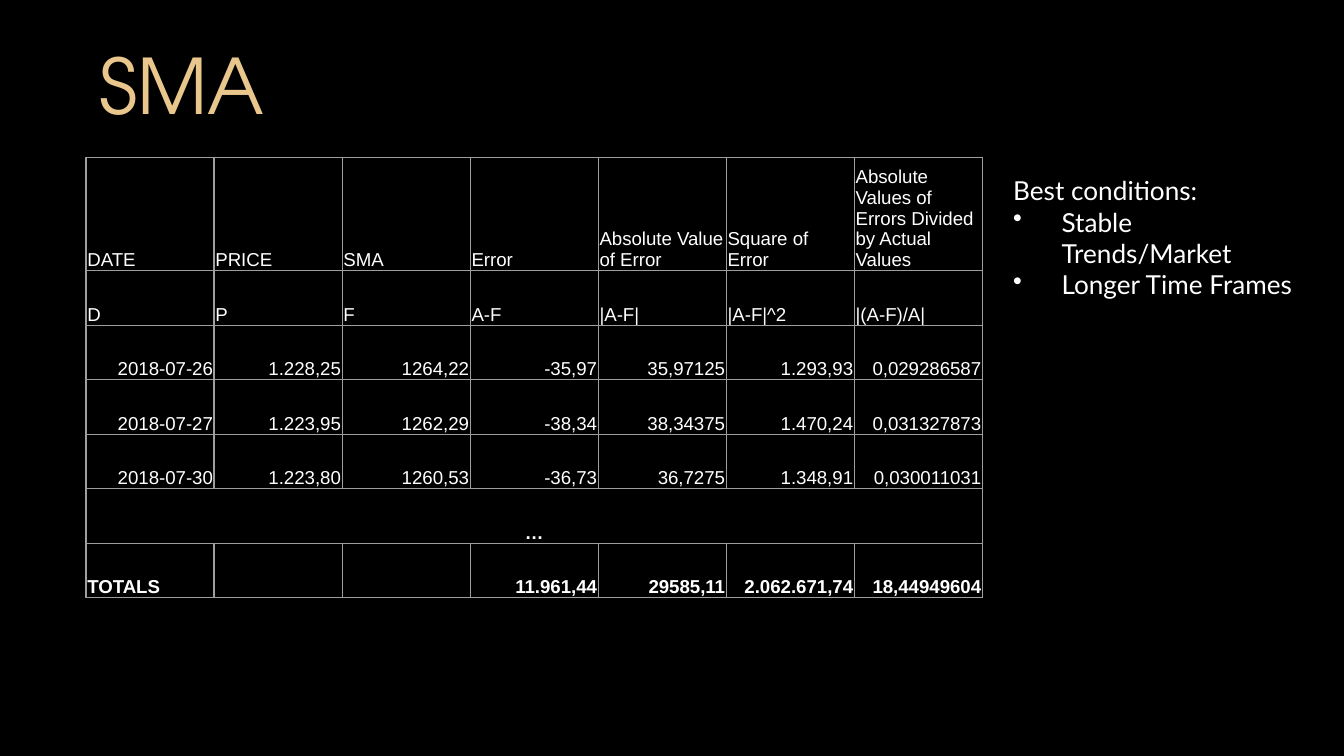
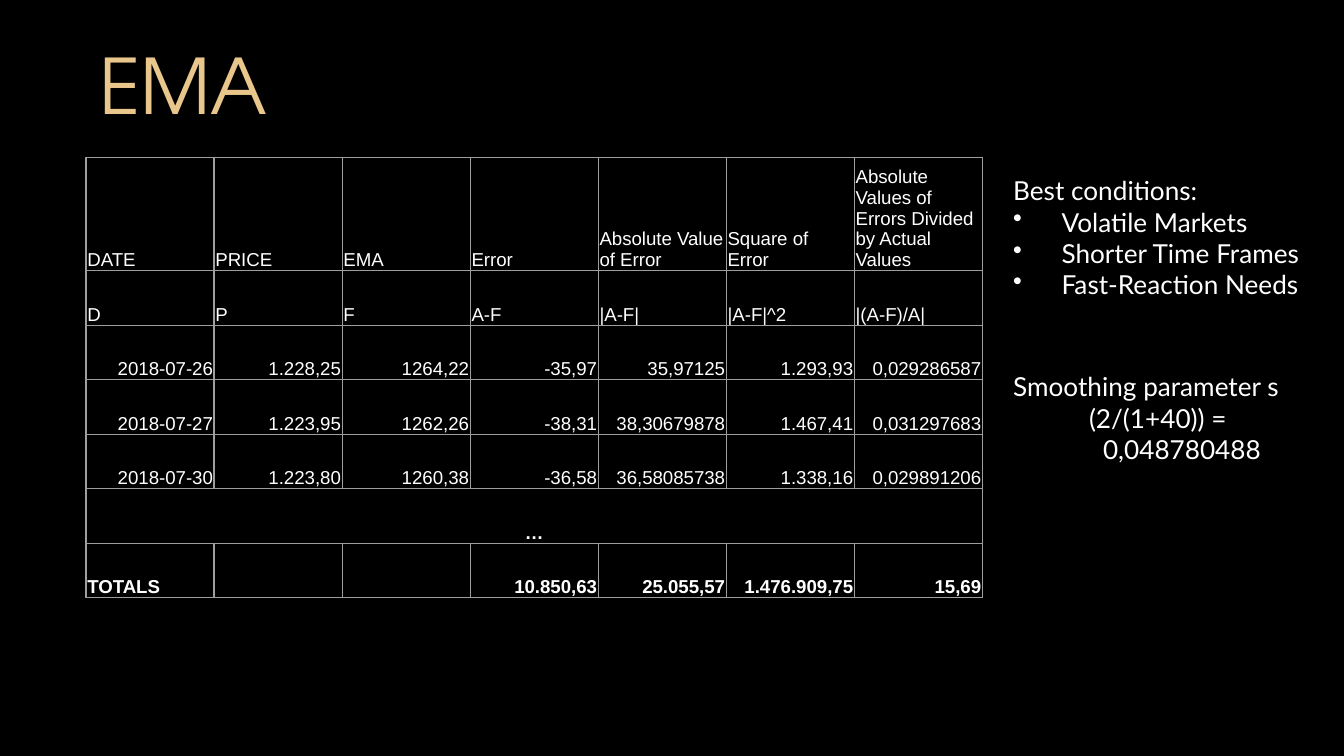
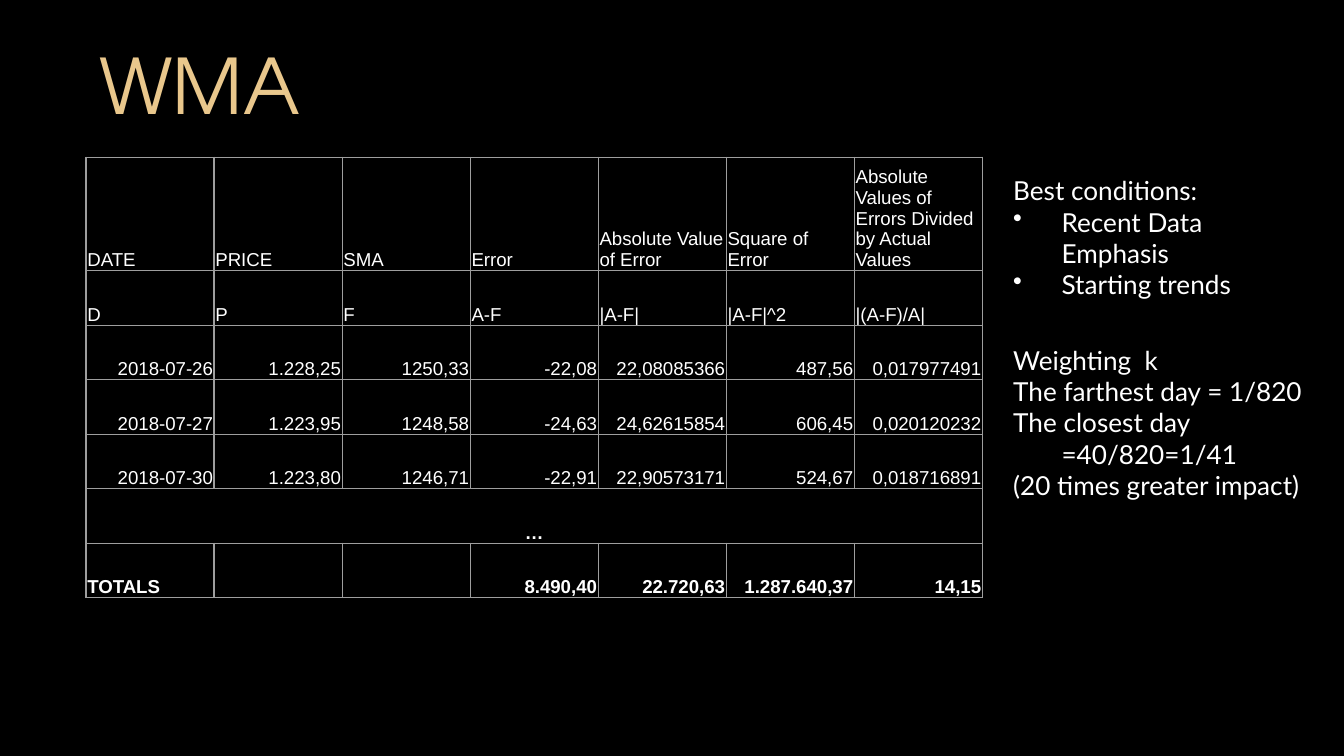
"""Build three slides that compare moving averages by their forecast errors."""
from lxml import etree
from pptx import Presentation
from pptx.dml.color import RGBColor
from pptx.enum import text
from pptx.oxml import ns
from pptx.util import Inches, Pt

BLACK, WHITE, GOLD, GREY = "000000", "FFFFFF", "E9C78C", "9E9E9E"
TITLE_FONT, NOTE_FONT, TABLE_FONT = "TeX Gyre Adventor", "Lato", "Arial"
LEFT, CENTER, RIGHT = text.PP_ALIGN.LEFT, text.PP_ALIGN.CENTER, text.PP_ALIGN.RIGHT

SLIDE_WIDTH = 10
TITLE_PLACE = (0.64, 0.18, 5.08, 1.03)
TABLE_PLACE = (0.64, 1.17, 6.67, 2.84)
NOTE_INDENT, NOTE_HANGING = 0.5, -0.36

ERROR_HEADINGS = ["Error", "Absolute Value of Error", "Square of Error",
                  "Absolute Values of Errors Divided by Actual Values"]
SYMBOLS = ["D", "P", "F", "A-F", "|A-F|", "|A-F|^2", "|(A-F)/A|"]
PRICES = [("2018-07-26", "1.228,25"), ("2018-07-27", "1.223,95"), ("2018-07-30", "1.223,80")]

AVERAGES = [
    {
        "title": "SMA",
        "forecast": "SMA",
        "errors": [
            ["1264,22", "-35,97", "35,97125", "1.293,93", "0,029286587"],
            ["1262,29", "-38,34", "38,34375", "1.470,24", "0,031327873"],
            ["1260,53", "-36,73", "36,7275", "1.348,91", "0,030011031"],
        ],
        "totals": ["11.961,44", "29585,11", "2.062.671,74", "18,44949604"],
        "conditions": ["Stable Trends/Market", "Longer Time Frames"],
        "conditions_width": 2.49,
    },
    {
        "title": "EMA",
        "forecast": "EMA",
        "errors": [
            ["1264,22", "-35,97", "35,97125", "1.293,93", "0,029286587"],
            ["1262,26", "-38,31", "38,30679878", "1.467,41", "0,031297683"],
            ["1260,38", "-36,58", "36,58085738", "1.338,16", "0,029891206"],
        ],
        "totals": ["10.850,63", "25.055,57", "1.476.909,75", "15,69"],
        "conditions": ["Volatile Markets", "Shorter Time Frames", "Fast-Reaction Needs"],
        "conditions_width": 2.49,
        "parameter": [("Smoothing parameter s", LEFT), ("(2/(1+40)) = 0,048780488", CENTER)],
        "parameter_place": (7.3, 2.66, 2.49, 1.26),
    },
    {
        "title": "WMA",
        "forecast": "SMA",
        "errors": [
            ["1250,33", "-22,08", "22,08085366", "487,56", "0,017977491"],
            ["1248,58", "-24,63", "24,62615854", "606,45", "0,020120232"],
            ["1246,71", "-22,91", "22,90573171", "524,67", "0,018716891"],
        ],
        "totals": ["8.490,40", "22.720,63", "1.287.640,37", "14,15"],
        "conditions": ["Recent Data Emphasis", "Starting trends"],
        "conditions_width": 2.59,
        "parameter": [("Weighting  k", LEFT), ("The farthest day = 1/820", LEFT),
                      ("The closest day =40/820=1/41", LEFT),
                      ("(20 times greater impact)", LEFT)],
        "parameter_place": (7.3, 2.46, 2.85, 1.26),
    },
]


def color(code):
    return RGBColor.from_string(code)


def inches(place):
    return [Inches(length) for length in place]


def set_font(paragraph, name, size, code, bold=False):
    for part in (paragraph, *paragraph.runs):
        part.font.name, part.font.size, part.font.bold = name, Pt(size), bold
        part.font.color.rgb = color(code)


def add_lines(slide, place, lines, name, size, code):
    frame = slide.shapes.add_textbox(*inches(place)).text_frame
    frame.word_wrap = True
    frame.margin_left = frame.margin_right = Inches(0.1)
    frame.margin_top = frame.margin_bottom = Inches(0.1)
    for index, (line, align) in enumerate(lines):
        paragraph = frame.add_paragraph() if index else frame.paragraphs[0]
        paragraph.text, paragraph.alignment = line, align
        set_font(paragraph, name, size, code)
    return frame.paragraphs


def add_notes(slide, place, lines, bulleted=()):
    for paragraph in add_lines(slide, place, lines, NOTE_FONT, 14, WHITE):
        properties = paragraph._p.get_or_add_pPr()
        properties.set("marL", str(Inches(NOTE_INDENT)))
        properties.set("indent", str(Inches(NOTE_HANGING)))
        if paragraph.text in bulleted:
            bullet_color = etree.Element(ns.qn("a:buClr"))
            etree.SubElement(bullet_color, ns.qn("a:srgbClr"), val=WHITE)
            bullet = etree.Element(ns.qn("a:buChar"), char="•")
            properties[:0] = [bullet_color, bullet]


def add_borders(cell):
    properties = cell._tc.get_or_add_tcPr()
    for side in ("lnL", "lnR", "lnT", "lnB"):
        border = etree.SubElement(properties, ns.qn("a:" + side), w=str(Pt(0.75)))
        fill = etree.SubElement(border, ns.qn("a:solidFill"))
        etree.SubElement(fill, ns.qn("a:srgbClr"), val=GREY)


def add_error_table(slide, average):
    rows = [["DATE", "PRICE", average["forecast"], *ERROR_HEADINGS], SYMBOLS]
    rows += [[*price, *errors] for price, errors in zip(PRICES, average["errors"])]
    gap_row = len(rows)
    rows += [["…"] + [""] * 6, ["TOTALS", "", "", *average["totals"]]]

    table = slide.shapes.add_table(len(rows), len(SYMBOLS), *inches(TABLE_PLACE)).table
    table.first_row = table.horz_banding = False
    for row, values in enumerate(rows):
        for column, value in enumerate(values):
            cell = table.cell(row, column)
            add_borders(cell)
            cell.fill.background()
            cell.vertical_anchor = text.MSO_ANCHOR.BOTTOM
            cell.margin_left = cell.margin_right = cell.margin_top = Inches(0.01)
            cell.margin_bottom = 0
            cell.text = value
            paragraph = cell.text_frame.paragraphs[0]
            set_font(paragraph, TABLE_FONT, 10, WHITE, row >= gap_row)
            if row == gap_row:
                paragraph.alignment = CENTER
            elif row < 2 or value == "TOTALS":
                paragraph.alignment = LEFT
            else:
                paragraph.alignment = RIGHT
    table.cell(gap_row, 0).merge(table.cell(gap_row, len(SYMBOLS) - 1))


def add_average_slide(deck, average):
    slide = deck.slides.add_slide(deck.slide_layouts[6])
    background = slide.background.fill
    background.solid()
    background.fore_color.rgb = color(BLACK)
    add_lines(slide, TITLE_PLACE, [(average["title"], LEFT)], TITLE_FONT, 41, GOLD)
    add_error_table(slide, average)
    conditions = average["conditions"]
    add_notes(slide, (7.3, 1.2, average["conditions_width"], 1.26),
              [(line, LEFT) for line in ["Best conditions:", *conditions]], conditions)
    if "parameter" in average:
        add_notes(slide, average["parameter_place"], average["parameter"])


def main():
    deck = Presentation()
    deck.slide_width, deck.slide_height = Inches(SLIDE_WIDTH), Inches(SLIDE_WIDTH * 9 / 16)
    for average in AVERAGES:
        add_average_slide(deck, average)
    deck.save("out.pptx")


if __name__ == "__main__":
    main()
